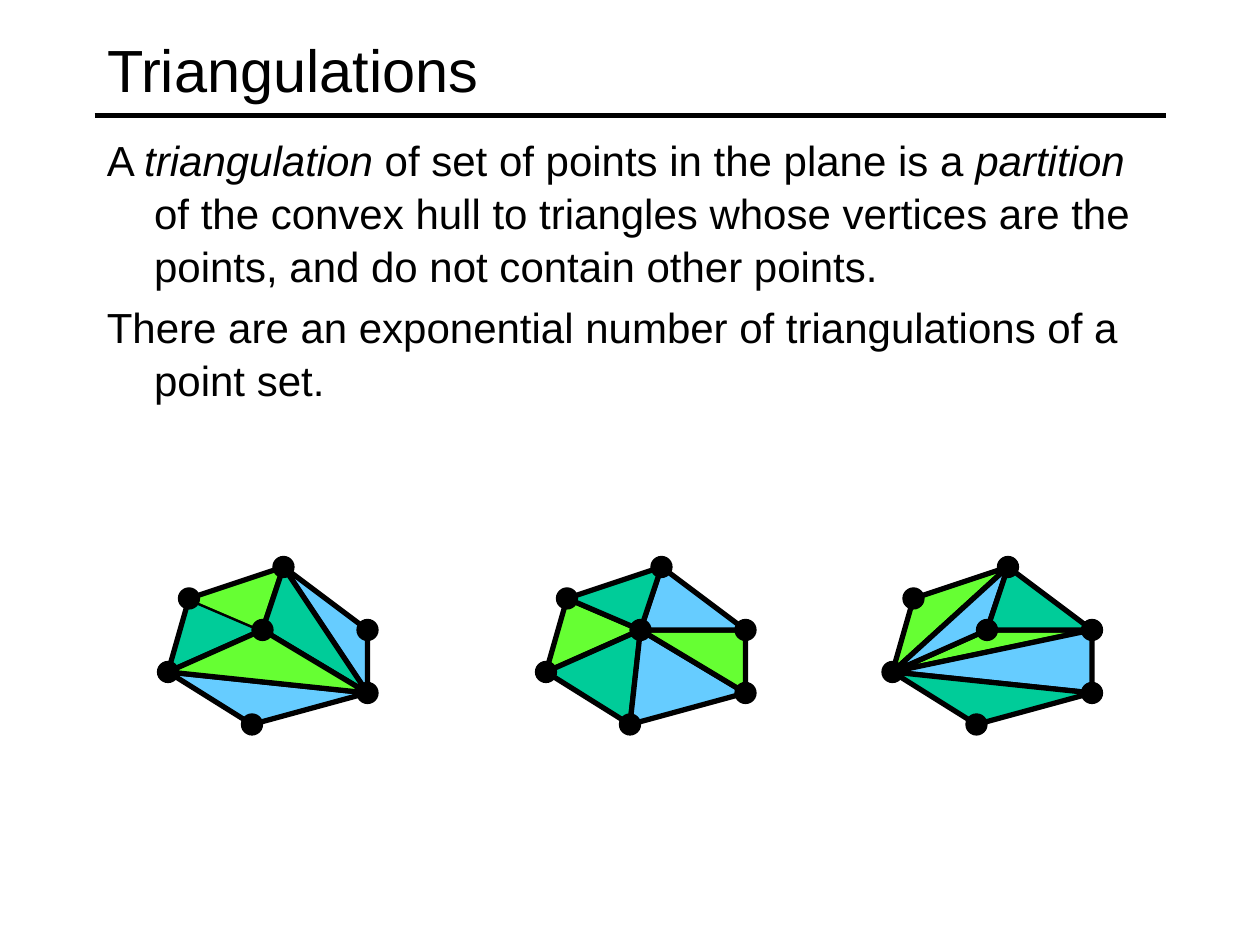
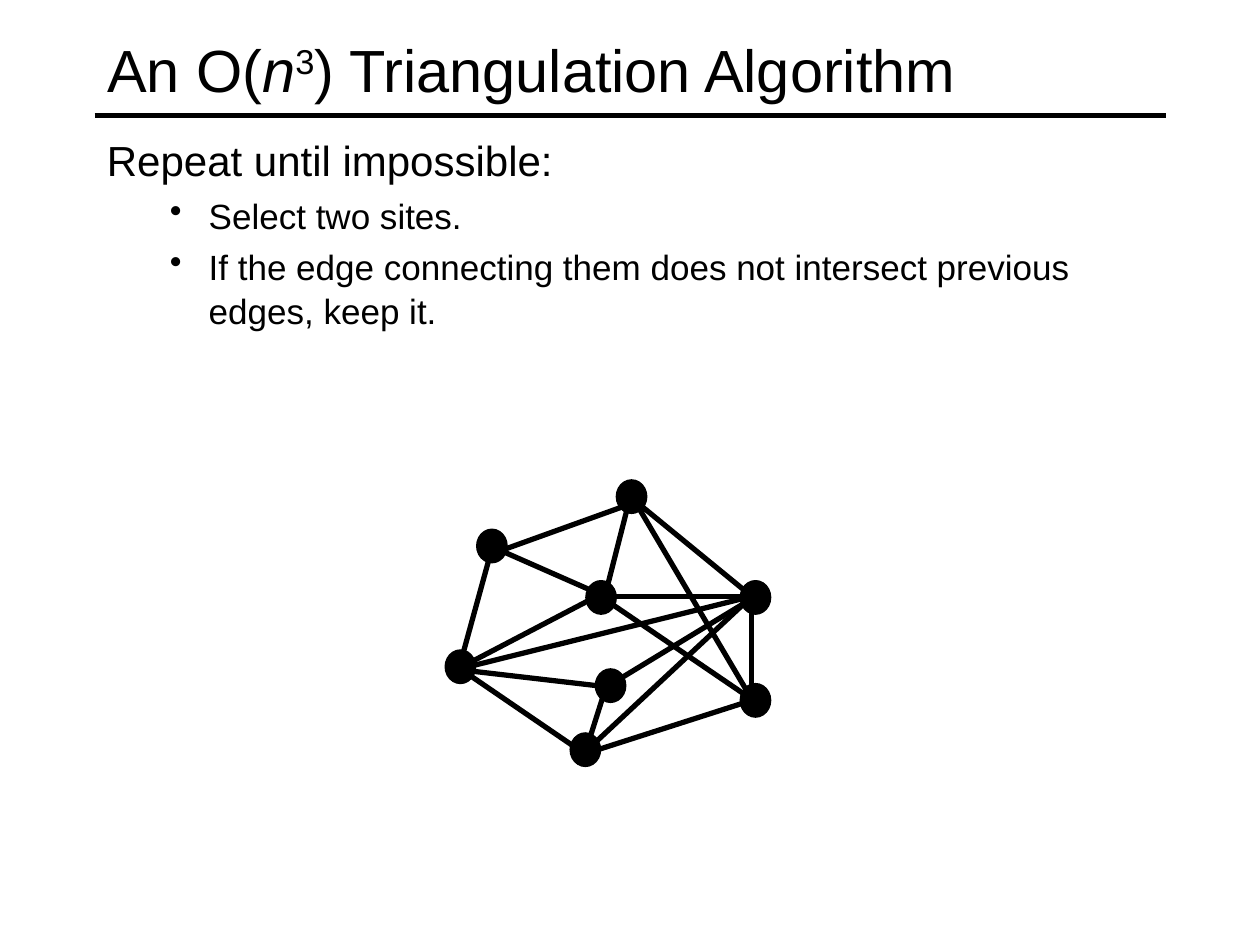
"""Build two slides on triangulations of a point set."""
import pptx
import pptx.dml.color
import pptx.enum.shapes
import pptx.enum.text
import pptx.oxml.ns
import pptx.util
from lxml import etree

PX = 7620
COLORS = {"ink": "000000", "blue": "66CCFF", "teal": "00CC99", "green": "66FF33"}
FONT = "Arial"

HULL_SITES = {
    "top": (270, 540), "center": (250, 600), "upper": (180, 570),
    "right": (350, 600), "left": (160, 640), "bottom": (240, 690),
    "lower": (350, 660),
}
TRIANGULATIONS = [
    (0, [
        ("blue", "top right lower"),
        ("blue", "lower bottom left"),
        ("teal", "left upper center"),
        ("green", "upper top center"),
        ("teal", "center top lower"),
        ("green", "left center lower"),
    ]),
    (360, [
        ("green", "upper center left"),
        ("teal", "left center bottom"),
        ("blue", "bottom center lower"),
        ("green", "lower center right"),
        ("blue", "right center top"),
        ("teal", "top center upper"),
    ]),
    (690, [
        ("green", "left center right"),
        ("blue", "left lower right"),
        ("teal", "left lower bottom"),
        ("green", "left upper top"),
        ("blue", "left top center"),
        ("teal", "top center right"),
    ]),
]
OPEN_TRIANGLE = (0, "upper top center")

ALGORITHM_SITES = [
    (601, 473), (572, 569), (468, 520), (719, 569),
    (438, 635), (557, 714), (719, 667), (581, 653),
]
ALGORITHM_EDGES = [
    (572, 568, 716, 666), (602, 473, 716, 666), (606, 478, 716, 568),
    (716, 568, 576, 568), (467, 528, 606, 478), (600, 474, 576, 568),
    (718, 569, 578, 654), (716, 568, 716, 667), (577, 654, 439, 638),
    (437, 637, 467, 528), (576, 658, 557, 718), (434, 634, 557, 718),
    (467, 520, 576, 568), (716, 568, 566, 708), (716, 667, 557, 718),
    (716, 568, 434, 638), (438, 636, 572, 566),
]


def px(*lengths):
    """Turn px lengths into EMU."""
    return [pptx.util.Emu(length * PX) for length in lengths]


def color(name):
    """Look up a named colour."""
    return pptx.dml.color.RGBColor.from_string(COLORS[name])


class SlideBuilder:
    """Hold the deck's style and draw on the current slide."""

    def __init__(self):
        """Open an empty deck of 1200 by 900 px."""
        self.deck = pptx.Presentation()
        self.deck.slide_width, self.deck.slide_height = px(1200, 900)
        self.page = None

    def add_page(self, title_runs):
        """Start a slide with its title and the rule under it."""
        self.page = self.deck.slides.add_slide(self.deck.slide_layouts[5])
        title = self.page.shapes.title
        title.left, title.top, title.width, title.height = px(90, 10, 1020, 110)
        frame = title.text_frame
        frame.auto_size = pptx.enum.text.MSO_AUTO_SIZE.NONE
        frame.vertical_anchor = pptx.enum.text.MSO_ANCHOR.MIDDLE
        para = frame.paragraphs[0]
        para.alignment = pptx.enum.text.PP_ALIGN.LEFT
        self.fill_para(para, title_runs, 34)
        self.line(90, 110, 1110, 110)

    def fill_para(self, para, runs, size):
        """Fill a paragraph with (text, style) runs."""
        para.font.name = FONT
        para.font.size = pptx.util.Pt(size)
        para.font.color.rgb = color("ink")
        for text, style in runs:
            span = para.add_run()
            span.text = text
            if style == "italic":
                span.font.italic = True
            elif style == "super":
                span._r.get_or_add_rPr().set("baseline", "30000")

    def body(self, height, items):
        """Add the body text from (runs, is_bullet) items."""
        box = self.page.shapes.add_textbox(*px(90, 120, 1020, height))
        frame = box.text_frame
        frame.word_wrap = True
        for index, (runs, is_bullet) in enumerate(items):
            para = frame.add_paragraph() if index else frame.paragraphs[0]
            size, margin, indent = (20, 97, -37) if is_bullet else (24, 45, -45)
            properties = para._p.get_or_add_pPr()
            properties.set("marL", str(margin * PX))
            properties.set("indent", str(indent * PX))
            para.line_spacing = 1.05
            if index:
                para.space_before = pptx.util.Pt(size * 0.2)
            if is_bullet:
                bullet = etree.SubElement(properties, pptx.oxml.ns.qn("a:buChar"))
                bullet.set("char", "•")
            self.fill_para(para, runs, size)

    def line(self, *ends):
        """Draw a straight black line."""
        line = self.page.shapes.add_connector(
            pptx.enum.shapes.MSO_CONNECTOR.STRAIGHT, *px(*ends))
        line.line.color.rgb = color("ink")
        line.line.width = pptx.util.Pt(3)
        etree.SubElement(line._element.spPr, pptx.oxml.ns.qn("a:effectLst"))

    def paint(self, shape, fill, width):
        """Give a shape its fill and a black outline."""
        shape.shadow.inherit = False
        shape.fill.solid()
        shape.fill.fore_color.rgb = color(fill)
        shape.line.color.rgb = color("ink")
        shape.line.width = pptx.util.Pt(width)

    def triangle(self, corners, fill, closed=True):
        """Draw a filled triangle, optionally with its last side open."""
        outline = self.page.shapes.build_freeform(*corners[0], scale=PX)
        outline.add_line_segments(corners[1:], close=closed)
        self.paint(outline.convert_to_shape(), fill, 3)

    def site(self, x, y, width, height):
        """Draw a black dot centred on a point."""
        dot = self.page.shapes.add_shape(
            pptx.enum.shapes.MSO_SHAPE.OVAL,
            *px(x - width // 2, y - height // 2, width, height))
        self.paint(dot, "ink", 0.75)


def add_triangulations(builder):
    """Add the slide that defines triangulations."""
    builder.add_page([("Triangulations", None)])
    builder.body(334, [
        ([("A ", None), ("triangulation", "italic"),
          (" of set of points in the plane is a ", None),
          ("partition", "italic"),
          (" of the convex hull to triangles whose vertices are the points, "
           "and do not contain other points.", None)], False),
        ([("There are an exponential number of triangulations of a point set.",
           None)], False),
    ])
    for shift, triangles in TRIANGULATIONS:
        sites = {name: (x + shift, y) for name, (x, y) in HULL_SITES.items()}
        for fill, names in triangles:
            corners = [sites[name] for name in names.split()]
            builder.triangle(corners, fill, (shift, names) != OPEN_TRIANGLE)
        for x, y in sites.values():
            builder.site(x, y, 20, 20)


def add_algorithm(builder):
    """Add the slide with the cubic algorithm."""
    builder.add_page([("An O(", None), ("n", "italic"), ("3", "super"),
                      (") Triangulation Algorithm", None)])
    builder.body(690, [
        ([("Repeat until impossible:", None)], False),
        ([("Select two sites.", None)], True),
        ([("If the edge connecting them does not intersect previous edges, "
           "keep it.", None)], True),
    ])
    for edge in ALGORITHM_EDGES:
        builder.line(*edge)
    for x, y in ALGORITHM_SITES:
        builder.site(x, y, 29, 32)


def main():
    """Build and save the deck."""
    builder = SlideBuilder()
    add_triangulations(builder)
    add_algorithm(builder)
    builder.deck.save("out.pptx")


if __name__ == "__main__":
    main()
